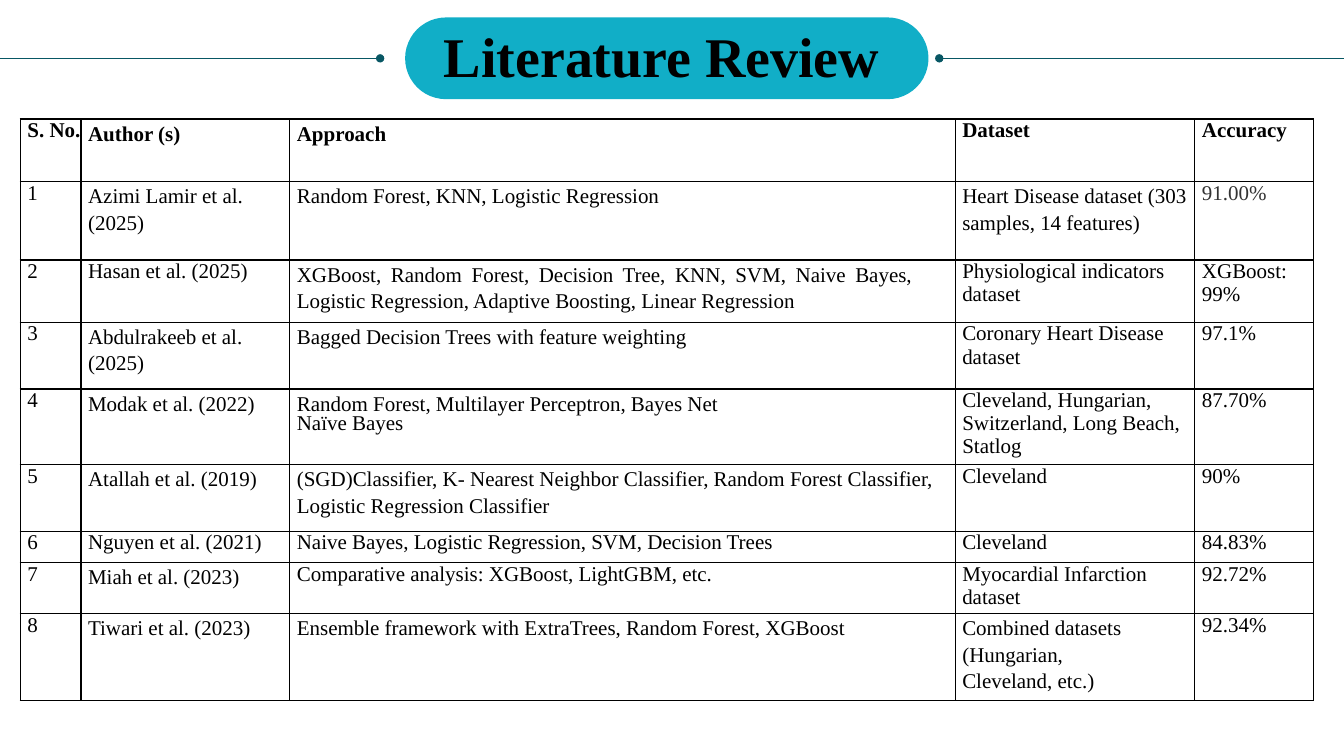
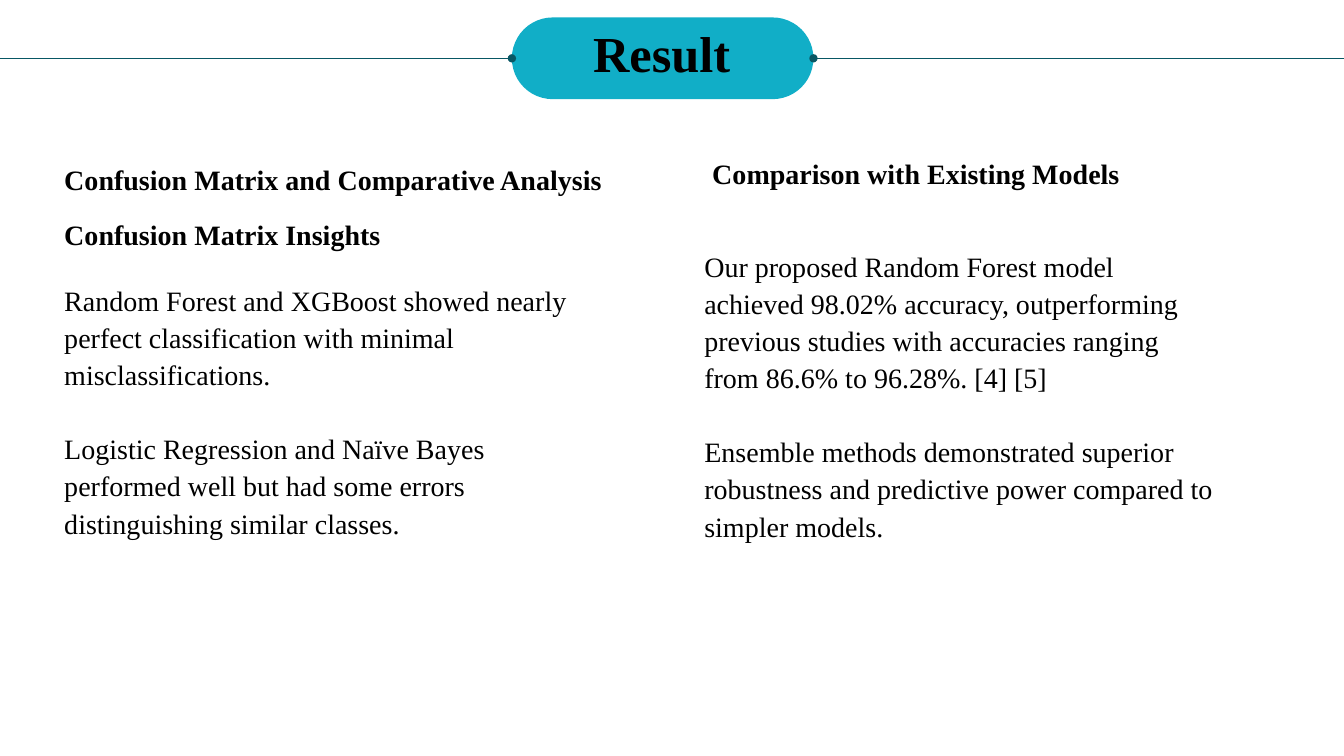
from lxml import etree
from pptx import Presentation
from pptx.dml.color import RGBColor
from pptx.enum.shapes import MSO_CONNECTOR as Connector, MSO_SHAPE as Shape
from pptx.enum.text import PP_ALIGN as Align
from pptx.oxml import parse_xml
from pptx.oxml.ns import nsdecls, qn
from pptx.util import Cm, Pt

FONT = "Times New Roman"
BLACK, GREY, TEAL, DARK_TEAL = "000000", "333333", "11AEC7", "085764"
SLIDE_WIDTH, SLIDE_HEIGHT = 33.87, 19.05
PILL_TOP, PILL_HEIGHT = 0.44, 2.06
LINE_Y = PILL_TOP + PILL_HEIGHT / 2


def paint(fill, colour):
    fill.solid()
    fill.fore_color.rgb = RGBColor.from_string(colour)


def write(frame, text, size=20, bold=False, colour=BLACK, align=Align.LEFT,
          spacing=1.0, gap=0):
    """Write one paragraph per line of text; gap is the space between them."""
    frame.word_wrap = True
    for index, line in enumerate(text.split("\n")):
        para = frame.add_paragraph() if index else frame.paragraphs[0]
        para.alignment = align
        para.line_spacing = spacing
        if index:
            para.space_before = Pt(gap)
        span = para.add_run()
        span.text = line
        span.font.name = FONT
        span.font.size = Pt(size)
        span.font.bold = bold
        paint(span.font.fill, colour)


deck = Presentation()
deck.slide_width, deck.slide_height = Cm(SLIDE_WIDTH), Cm(SLIDE_HEIGHT)

# Title, size, pill left and right, ends of the left and right lines
headers = [
    ("Literature Review", 40, 10.21, 23.4, 9.58, 23.67),
    ("Result", 36, 12.9, 20.5, 12.9, 20.5),
]
pages = []
for title, size, pill_left, pill_right, left_end, right_end in headers:
    page = deck.slides.add_slide(deck.slide_layouts[6])
    pages.append(page)
    pill = page.shapes.add_shape(
        Shape.ROUNDED_RECTANGLE, Cm(pill_left), Cm(PILL_TOP),
        Cm(pill_right - pill_left), Cm(PILL_HEIGHT))
    pill.adjustments[0] = 0.5
    pill.shadow.inherit = False
    paint(pill.fill, TEAL)
    pill.line.fill.background()

    box = page.shapes.add_textbox(Cm(0.38), Cm(0.74), Cm(32.59), Cm(1.55))
    frame = box.text_frame
    frame.margin_left = frame.margin_right = 0
    frame.margin_top = frame.margin_bottom = 0
    write(frame, title, size=size, bold=True, align=Align.CENTER, spacing=0.9)

    for edge, end, side, site in ((0, left_end, pill_left, 1),
                                  (SLIDE_WIDTH, right_end, pill_right, 3)):
        line = page.shapes.add_connector(
            Connector.STRAIGHT, Cm(edge), Cm(LINE_Y), Cm(end), Cm(LINE_Y))
        if end == side:
            line.end_connect(pill, site)
        paint(line.line.fill, DARK_TEAL)
        line.line.width = Pt(0.5)
        etree.SubElement(line.line._get_or_add_ln(), qn("a:tailEnd"), type="oval")
        etree.SubElement(line._element.spPr, qn("a:effectLst"))

review, result = pages

# Literature table
studies = [
    ("S. No.", "Author (s)", "Approach", "Dataset", "Accuracy"),
    ("1", "Azimi Lamir et al. (2025)", "Random Forest, KNN, Logistic Regression",
     "Heart Disease dataset (303 samples, 14 features)", "91.00%"),
    ("2", "Hasan et al. (2025)",
     "XGBoost, Random Forest, Decision Tree, KNN, SVM, Naive Bayes, "
     "Logistic Regression, Adaptive Boosting, Linear Regression",
     "Physiological indicators dataset", "XGBoost: 99%"),
    ("3", "Abdulrakeeb et al. (2025)", "Bagged Decision Trees with feature weighting",
     "Coronary Heart Disease dataset", "97.1%"),
    ("4", "Modak et al. (2022)",
     "Random Forest, Multilayer Perceptron, Bayes Net\nNaïve Bayes",
     "Cleveland, Hungarian, Switzerland, Long Beach, Statlog", "87.70%"),
    ("5", "Atallah et al. (2019)",
     "(SGD)Classifier, K- Nearest Neighbor Classifier, Random Forest Classifier, "
     "Logistic Regression Classifier", "Cleveland", "90%"),
    ("6", "Nguyen et al. (2021)", "Naive Bayes, Logistic Regression, SVM, Decision Trees",
     "Cleveland", "84.83%"),
    ("7", "Miah et al. (2023)", "Comparative analysis: XGBoost, LightGBM, etc.",
     "Myocardial Infarction dataset", "92.72%"),
    ("8", "Tiwari et al. (2023)",
     "Ensemble framework with ExtraTrees, Random Forest, XGBoost",
     "Combined datasets (Hungarian, Cleveland, etc.)", "92.34%"),
]
column_widths = [1.53, 5.26, 16.77, 6.04, 2.99]
row_heights = [1.57, 1.98, 1.57, 1.68, 1.9, 1.68, 0.79, 1.28, 2.2]
# Rows with looser line spacing, by column
loose_rows = {1: {0, 1, 3, 4, 5, 7, 8}, 2: {0, 1, 2, 3, 4, 5, 8}, 3: {1, 8}}
right_margins = {(2, 2): 1.07, (8, 3): 1.3}

table = review.shapes.add_table(
    len(studies), len(column_widths), Cm(0.51), Cm(3),
    Cm(sum(column_widths)), Cm(sum(row_heights))).table
table.first_row = table.horz_banding = False
for column, width in zip(table.columns, column_widths):
    column.width = Cm(width)
for row, height in zip(table.rows, row_heights):
    row.height = Cm(height)

for r, study in enumerate(studies):
    for c, text in enumerate(study):
        cell = table.cell(r, c)
        cell.margin_top = cell.margin_bottom = 0
        cell.margin_left = Cm(0.18)
        cell.margin_right = Cm(right_margins.get((r, c), 0))
        cell.fill.background()
        for index, side in enumerate(("lnL", "lnR", "lnT", "lnB")):
            border = parse_xml(
                f'<a:{side} {nsdecls("a")} w="12700"><a:solidFill>'
                f'<a:srgbClr val="{BLACK}"/></a:solidFill></a:{side}>')
            cell._tc.get_or_add_tcPr().insert(index, border)
        write(cell.text_frame, text, size=15, bold=r == 0,
              colour=GREY if text == "91.00%" else BLACK,
              align=Align.JUSTIFY if c == 2 and r < 4 else Align.LEFT,
              spacing=1.15 if r in loose_rows.get(c, ()) else 1.0)
table.cell(4, 2).text_frame.paragraphs[1].line_spacing = Pt(13.8)

# Findings: left, top, width, height, bold, line spacing, text
findings = [
    (1.37, 2.84, 16.94, 1.96, True, 56, "Confusion Matrix and Comparative Analysis"),
    (1.37, 5.21, 16.94, 1.17, True, 28, "Confusion Matrix Insights"),
    (1.37, 6.93, 13.72, 7.85, False, 26.5,
     "Random Forest and XGBoost showed nearly perfect classification with "
     "minimal misclassifications.\n"
     "Logistic Regression and Naïve Bayes performed well but had some errors "
     "distinguishing similar classes."),
    (17.7, 3.68, 13.06, 1.17, True, 28, "Comparison with Existing Models"),
    (17.5, 6.07, 13.46, 8.81, False, 26.5,
     "Our proposed Random Forest model achieved 98.02% accuracy, outperforming "
     "previous studies with accuracies ranging from 86.6% to 96.28%. [4] [5]\n"
     "Ensemble methods demonstrated superior robustness and predictive power "
     "compared to simpler models."),
]
for left, top, width, height, bold, spacing, text in findings:
    box = result.shapes.add_textbox(Cm(left), Cm(top), Cm(width), Cm(height))
    write(box.text_frame, text, bold=bold, spacing=Pt(spacing), gap=spacing)

deck.save("out.pptx")
